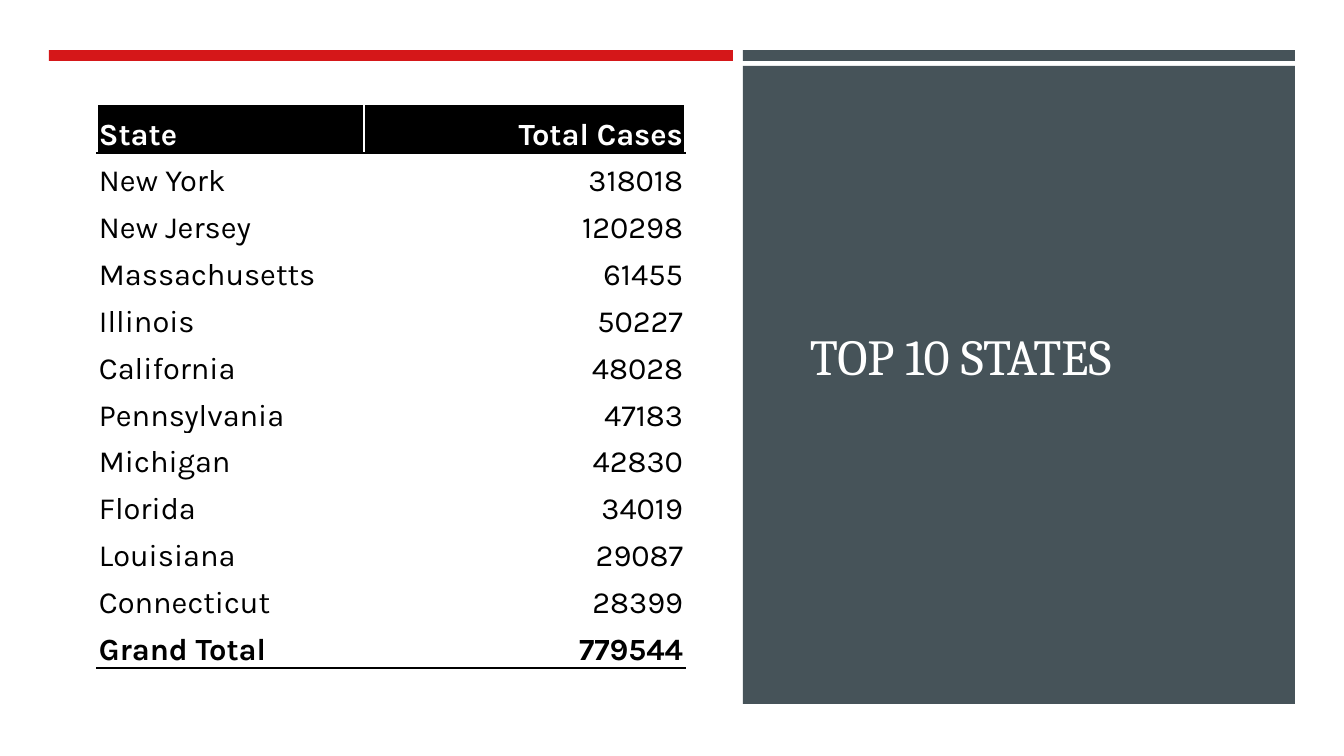
import pptx
import pptx.util
import pptx.dml.color
import pptx.enum.shapes
import pptx.enum.text
import pptx.oxml

ALIGN = pptx.enum.text.PP_ALIGN
ANCHOR = pptx.enum.text.MSO_ANCHOR
COLORS = {"red": "D51719", "slate": "465359", "white": "FFFFFF", "black": "000000"}
NS = "http://schemas.openxmlformats.org/drawingml/2006/main"


def px(n):
    """Turn pixels into EMU."""
    return round(n * 914400 / 100.8)


def tint(name):
    """Give the named colour."""
    return pptx.dml.color.RGBColor.from_string(COLORS[name])


deck = pptx.Presentation()
deck.slide_width, deck.slide_height = px(1344), px(756)
slide = deck.slides.add_slide(deck.slide_layouts[6])

# Bars and side panel
bars = [
    (49, 50, 684, 11, "red"),
    (743, 50, 552, 11, "slate"),
    (743, 66, 552, 638, "slate"),
]
for left, top, width, height, color in bars:
    bar = slide.shapes.add_shape(
        pptx.enum.shapes.MSO_SHAPE.RECTANGLE,
        px(left), px(top), px(width), px(height))
    bar.shadow.inherit = False
    bar.fill.solid()
    bar.fill.fore_color.rgb = tint(color)
    bar.line.fill.background()

# Title
title = slide.shapes.add_textbox(px(800), px(156), px(454), px(230)).text_frame
title.word_wrap = True
title.vertical_anchor = ANCHOR.BOTTOM
title.margin_bottom = 0
line = title.paragraphs[0]
line.text = "TOP 10 STATES"
line.font.name = "Cambria"
line.font.size = pptx.util.Pt(36)
line.font.color.rgb = tint("white")

# Table of cases
rows = [
    ("State", "Total Cases"),
    ("New York", "318018"),
    ("New Jersey", "120298"),
    ("Massachusetts", "61455"),
    ("Illinois", "50227"),
    ("California", "48028"),
    ("Pennsylvania", "47183"),
    ("Michigan", "42830"),
    ("Florida", "34019"),
    ("Louisiana", "29087"),
    ("Connecticut", "28399"),
    ("Grand Total", "779544"),
]
last = len(rows) - 1
table = slide.shapes.add_table(
    len(rows), 2, px(97), px(106), px(588), px(562)).table
table.horz_banding = False
table.first_row = False
for column, width in zip(table.columns, (267, 321)):
    column.width = px(width)

for r, row in enumerate(rows):
    head = r == 0
    for c, text in enumerate(row):
        cell = table.cell(r, c)
        cell.margin_left = cell.margin_right = cell.margin_top = px(2)
        cell.margin_bottom = 0
        cell.vertical_anchor = ANCHOR.BOTTOM
        line = cell.text_frame.paragraphs[0]
        line.text = text
        line.alignment = ALIGN.RIGHT if c else ALIGN.LEFT
        line.font.name = "Karla"
        line.font.size = pptx.util.Pt(22)
        line.font.bold = r in (0, last)
        line.font.color.rgb = tint("white" if head else "black")
        # Borders come before the fill in the cell's XML
        edges = ("lnT", "lnB") if head else ("lnB",) if r == last else ()
        for edge in edges:
            cell._tc.get_or_add_tcPr().append(pptx.oxml.parse_xml(
                f'<a:{edge} xmlns:a="{NS}" w="25400"><a:solidFill>'
                f'<a:srgbClr val="{COLORS["black"]}"/></a:solidFill></a:{edge}>'))
        cell.fill.solid()
        cell.fill.fore_color.rgb = tint("black" if head else "white")

deck.save("out.pptx")
